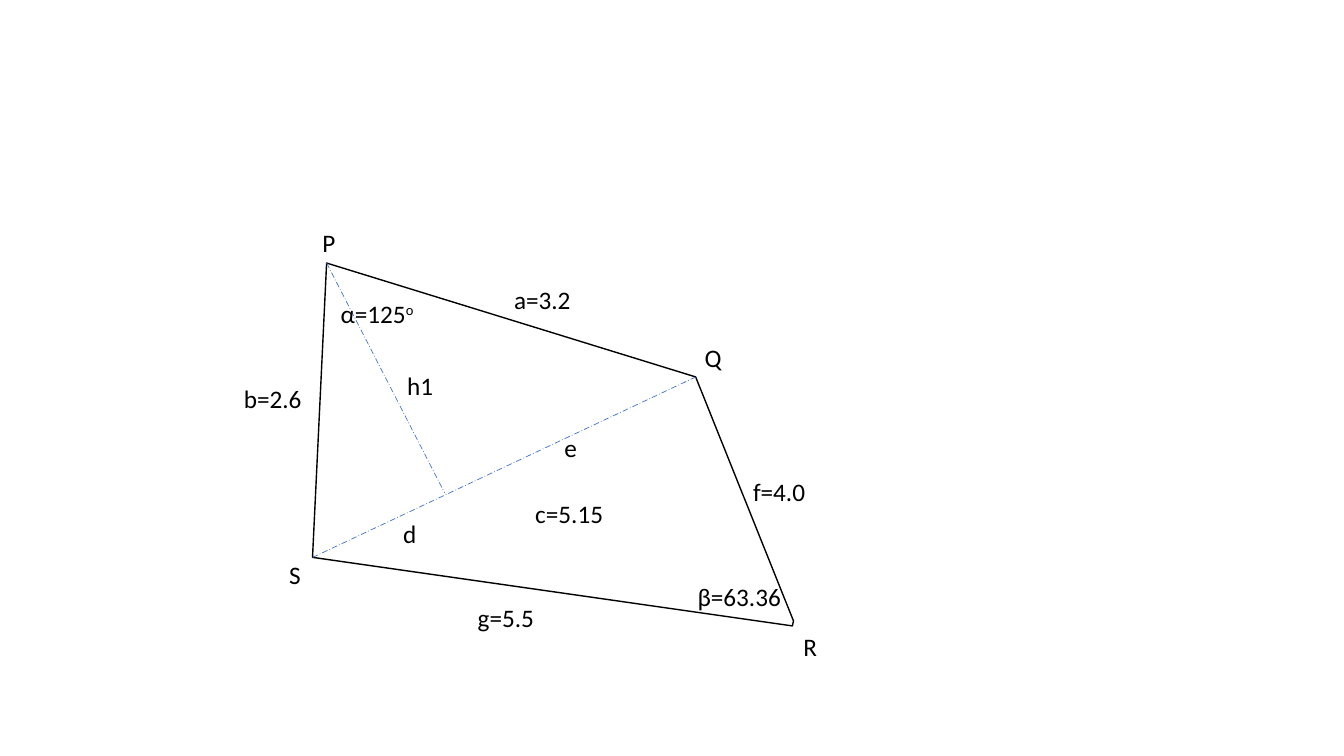
import pptx
import pptx.dml.color
import pptx.enum.dml
import pptx.enum.shapes
import pptx.enum.text
import pptx.util
from lxml import etree
from pptx.util import Inches

COLORS = {"paper": "FFFFFF", "ink": "000000", "construction": "4472C4"}
FONT = "Calibri"
LABEL_HEIGHT = 0.4

P, Q, S = (3.24, 2.61), (6.9, 3.74), (3.1, 5.53)
R_UPPER, R_LOWER = (7.87, 6.16), (7.86, 6.21)
HEIGHT_FOOT = (4.41, 4.89)

OUTLINE = [R_LOWER, S, P, Q, R_UPPER]
CONSTRUCTION_LINES = [(S, Q), (P, HEIGHT_FOOT)]

LABELS = [
    ("P", "", 3.1, 2.21, 0.33),
    ("Q", "", 6.89, 3.35, 0.37),
    ("R", "", 7.87, 6.21, 0.34),
    ("S", "", 2.77, 5.5, 0.32),
    ("α=125", "o", 3.28, 2.91, 0.96),
    ("a=3.2", "", 5, 2.77, 0.77),
    ("b=2.6", "", 2.32, 3.75, 0.78),
    ("c=5.15", "", 5.21, 4.89, 0.88),
    ("e", "", 5.5, 4.24, 0.33),
    ("d", "", 3.9, 5.09, 0.34),
    ("h1", "", 3.94, 3.62, 0.46),
    ("f=4.0", "", 7.37, 4.68, 0.72),
    ("g=5.5", "", 4.64, 5.93, 0.77),
    ("β=63.36", "", 6.82, 5.72, 1.04),
]


def color(name):
    return pptx.dml.color.RGBColor.from_string(COLORS[name])


def emu(point):
    return tuple(Inches(value) for value in point)


def add_quadrilateral(shapes):
    start, *others = [emu(corner) for corner in OUTLINE]
    builder = shapes.build_freeform(*start)
    builder.add_line_segments(others, close=True)
    quadrilateral = builder.convert_to_shape()
    quadrilateral.shadow.inherit = False
    quadrilateral.fill.solid()
    quadrilateral.fill.fore_color.rgb = color("paper")
    quadrilateral.line.color.rgb = color("ink")
    quadrilateral.line.width = pptx.util.Pt(1)


def add_construction_line(shapes, start, end):
    construction = shapes.add_connector(
        pptx.enum.shapes.MSO_CONNECTOR.STRAIGHT, *emu(start), *emu(end))
    construction.line.color.rgb = color("construction")
    construction.line.width = pptx.util.Pt(0.5)
    construction.line.dash_style = pptx.enum.dml.MSO_LINE.LONG_DASH_DOT
    etree.SubElement(construction._element.spPr, pptx.oxml.ns.qn("a:effectLst"))


def add_label(shapes, text, superscript, left, top, width):
    label = shapes.add_textbox(*emu((left, top, width, LABEL_HEIGHT)))
    frame = label.text_frame
    frame.word_wrap = False
    frame.auto_size = pptx.enum.text.MSO_AUTO_SIZE.SHAPE_TO_FIT_TEXT
    paragraph = frame.paragraphs[0]
    paragraph.add_run().text = text
    if superscript:
        raised = paragraph.add_run()
        raised.text = superscript
        raised._r.get_or_add_rPr().set("baseline", "30000")
    paragraph.font.name = FONT
    paragraph.font.size = pptx.util.Pt(18)
    paragraph.font.color.rgb = color("ink")


def main():
    """Build the slide of a quadrilateral with its sides, angles and diagonal."""
    deck = pptx.Presentation()
    deck.slide_width, deck.slide_height = emu((13.33, 7.5))
    slide = deck.slides.add_slide(deck.slide_layouts[6])
    diagram = slide.shapes.add_group_shape().shapes
    add_quadrilateral(diagram)
    for start, end in CONSTRUCTION_LINES:
        add_construction_line(diagram, start, end)
    for label in LABELS:
        add_label(diagram, *label)
    deck.save("out.pptx")


if __name__ == "__main__":
    main()
